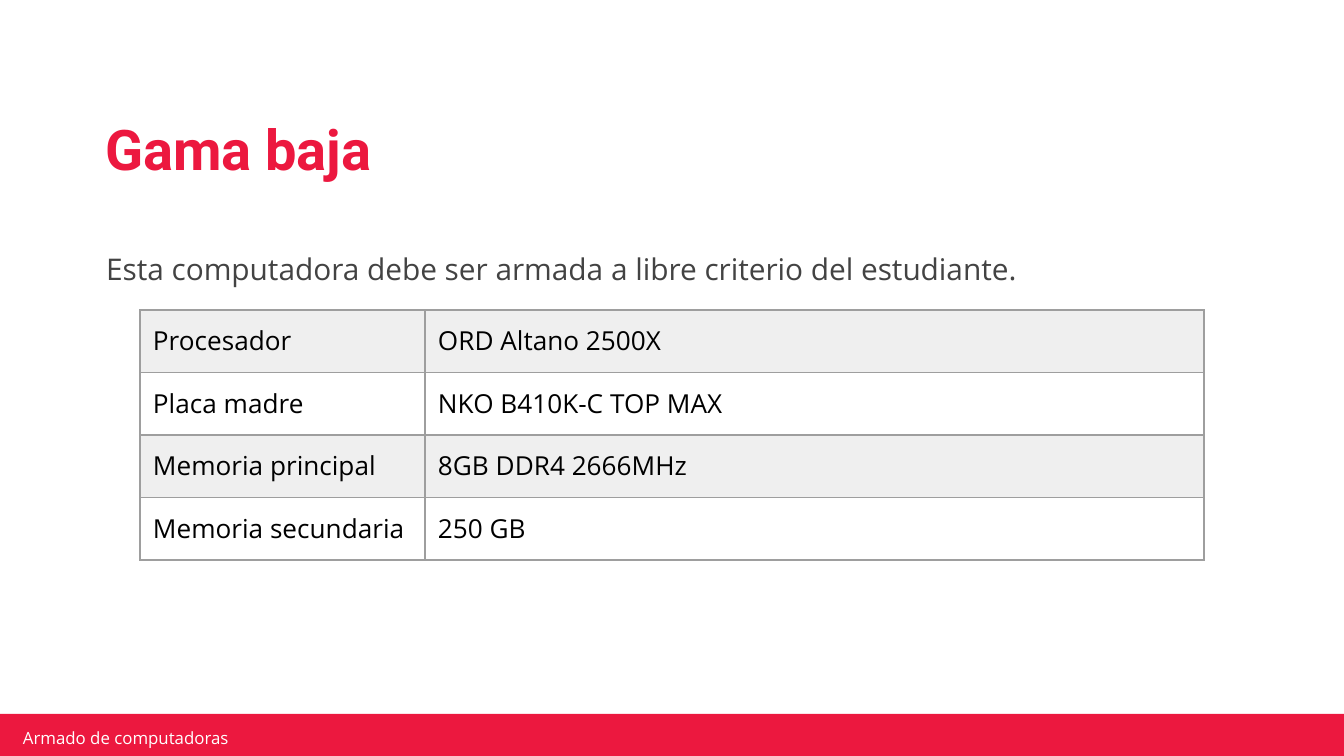
from lxml.etree import SubElement
from pptx import Presentation
from pptx.dml.color import RGBColor
from pptx.enum.shapes import MSO_SHAPE
from pptx.enum.text import MSO_ANCHOR, PP_ALIGN
from pptx.oxml.ns import qn
from pptx.util import Emu, Pt

EMU_PER_PX = 914400 / 134.4
COLORS = {
    "accent": "EC183F",
    "band": "EFEFEF",
    "white": "FFFFFF",
    "border": "9E9E9E",
    "body": "434343",
    "black": "000000",
}
COMPONENTS = [
    ("Procesador", "ORD Altano 2500X"),
    ("Placa madre", "NKO B410K-C TOP MAX"),
    ("Memoria principal", "8GB DDR4 2666MHz"),
    ("Memoria secundaria", "250 GB"),
]


def px(length):
    """Turn a length in px into EMU."""
    return Emu(round(length * EMU_PER_PX))


def color(name):
    """Look up a named colour."""
    return RGBColor.from_string(COLORS[name])


def write(frame, text, size, font, ink, bold=False, spacing=1.0):
    """Fill a text frame with one formatted, left-aligned paragraph."""
    frame.text = text
    paragraph = frame.paragraphs[0]
    paragraph.alignment = PP_ALIGN.LEFT
    paragraph.line_spacing = spacing
    paragraph.space_before = Pt(0)
    style = paragraph.runs[0].font
    style.size, style.name, style.bold = Pt(size), font, bold
    style.color.rgb = color(ink)


def set_insets(frame, side, end, anchor):
    """Set the margins and vertical anchor of a wrapping text frame."""
    frame.word_wrap = True
    frame.margin_left = frame.margin_right = px(side)
    frame.margin_top = frame.margin_bottom = px(end)
    frame.vertical_anchor = anchor


def add_heading(slide, left, top, width, height):
    """Place the title in its box."""
    heading = slide.shapes.title
    heading.left, heading.top = px(left), px(top)
    heading.width, heading.height = px(width), px(height)
    write(heading.text_frame, "Gama baja", 30, "Roboto", "accent", True, 0.9)
    set_insets(heading.text_frame, 12, 6, MSO_ANCHOR.MIDDLE)


def add_instruction(slide, left, top, width, height):
    """Place the sentence above the table."""
    instruction = slide.shapes.add_textbox(px(left), px(top), px(width), px(height))
    write(
        instruction.text_frame,
        "Esta computadora debe ser armada a libre criterio del estudiante.",
        16, "Open Sans", "body", spacing=1.5,
    )
    set_insets(instruction.text_frame, 13, 7, MSO_ANCHOR.TOP)


def add_borders(cell):
    """Draw a thin line on all four sides of a cell."""
    properties = cell._tc.get_or_add_tcPr()
    for position, side in enumerate(("a:lnL", "a:lnR", "a:lnT", "a:lnB")):
        line = SubElement(properties, qn(side), w=str(Pt(0.75)))
        fill = SubElement(line, qn("a:solidFill"))
        SubElement(fill, qn("a:srgbClr"), val=COLORS["border"])
        properties.insert(position, line)


def add_components(slide, left, top, width, height, label_width=285):
    """Place the table of components with alternating row fills."""
    frame = slide.shapes.add_table(
        len(COMPONENTS), 2, px(left), px(top), px(width), px(height)
    )
    components = frame.table
    components.columns[0].width = px(label_width)
    components.columns[1].width = px(width - label_width)
    for row, entries in enumerate(COMPONENTS):
        for column, entry in enumerate(entries):
            cell = components.cell(row, column)
            write(cell.text_frame, entry, 14, "Open Sans", "black")
            cell.margin_left = cell.margin_right = px(13)
            cell.margin_top = cell.margin_bottom = px(13)
            cell.fill.solid()
            cell.fill.fore_color.rgb = color("white" if row % 2 else "band")
            add_borders(cell)


def add_footer(slide, left, top, width, height):
    """Place the coloured strip and the course name on it."""
    strip = slide.shapes.add_shape(
        MSO_SHAPE.RECTANGLE, px(left), px(top), px(width), px(height)
    )
    strip.shadow.inherit = False
    strip.fill.solid()
    strip.fill.fore_color.rgb = color("accent")
    strip.line.fill.background()
    course = slide.shapes.add_textbox(px(left + 16), px(top + 14), px(321), px(20))
    write(course.text_frame, "Armado de computadoras", 9, "Open Sans", "white")
    set_insets(course.text_frame, 7, 3, MSO_ANCHOR.MIDDLE)


def main():
    """Build and save the slide."""
    deck = Presentation()
    deck.slide_width, deck.slide_height = px(1344), px(756)
    slide = deck.slides.add_slide(deck.slide_layouts[5])
    add_footer(slide, 0, 714, 1344, 42)
    add_heading(slide, 93, 90, 1129, 125)
    add_components(slide, 140, 310, 1064, 250)
    add_instruction(slide, 93, 226, 1187, 40)
    deck.save("out.pptx")


if __name__ == "__main__":
    main()
